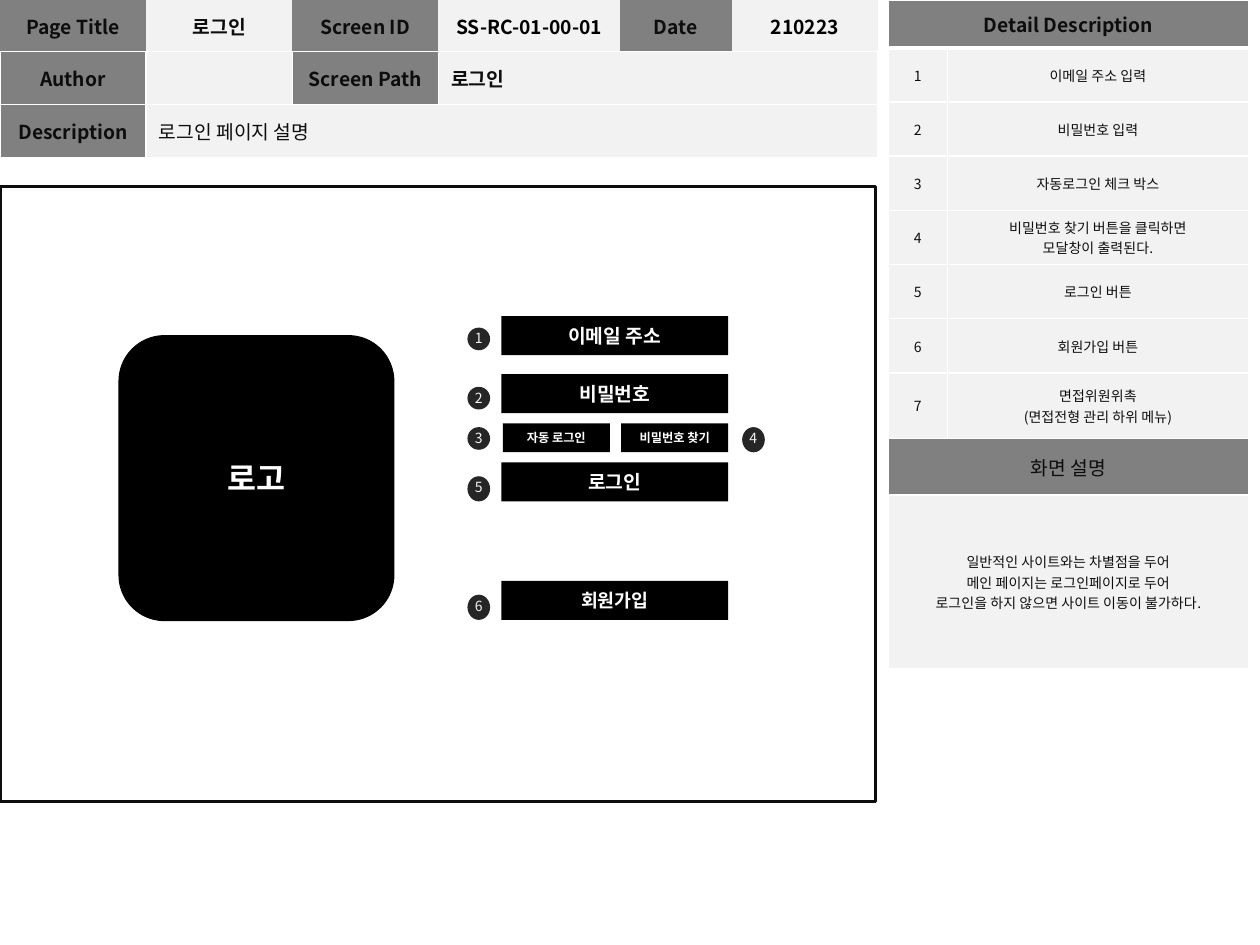
from dataclasses import dataclass

from lxml import etree
from pptx import Presentation
from pptx.dml.color import RGBColor
from pptx.enum.shapes import MSO_SHAPE
from pptx.enum.text import MSO_ANCHOR, MSO_AUTO_SIZE, PP_ALIGN
from pptx.oxml.ns import qn
from pptx.util import Inches, Pt

RECTANGLE = MSO_SHAPE.RECTANGLE
ROUNDED = MSO_SHAPE.ROUNDED_RECTANGLE
OVAL = MSO_SHAPE.OVAL
LEFT, CENTER = PP_ALIGN.LEFT, PP_ALIGN.CENTER
MIDDLE = MSO_ANCHOR.MIDDLE
FIT_SHAPE = MSO_AUTO_SIZE.SHAPE_TO_FIT_TEXT

FONT = "Noto Sans CJK KR"
BLACK = RGBColor(0x00, 0x00, 0x00)
INK = RGBColor(0x0D, 0x0D, 0x0D)
CHARCOAL = RGBColor(0x26, 0x26, 0x26)
GRAY = RGBColor(0x80, 0x80, 0x80)
PALE = RGBColor(0xF2, 0xF2, 0xF2)
WHITE = RGBColor(0xFF, 0xFF, 0xFF)


@dataclass
class Cell:
    text: str
    fill: RGBColor = PALE
    size: float = 11
    bold: bool = True
    color: RGBColor = INK
    align: PP_ALIGN = CENTER
    span: int = 1


@dataclass
class Row:
    height: float
    cells: list[Cell]
    side: float = 1
    top: float = 1
    bottom: float = 1


@dataclass
class Block:
    text: str
    left: float
    top: float
    width: float = 1.8
    height: float = 0.31
    size: float = 11
    shape: MSO_SHAPE = RECTANGLE


@dataclass
class Badge:
    text: str
    left: float
    top: float
    height: float


def label(text: str) -> Cell:
    return Cell(text, fill=GRAY)


def detail(text: str, span: int = 1) -> Cell:
    return Cell(text, size=8, bold=False, span=span)


def style_text(frame, size: float, color: RGBColor, bold: bool, align: PP_ALIGN) -> None:
    for para in frame.paragraphs:
        para.alignment = align
        for span in para.runs:
            span.font.name = FONT
            span.font.size = Pt(size)
            span.font.bold = bold
            span.font.color.rgb = color
            latin = span.font._element.find(qn("a:latin"))
            east_asian = etree.Element(qn("a:ea"), typeface=FONT)
            latin.addnext(east_asian)


def set_borders(cell, row: Row) -> None:
    properties = cell._tc.get_or_add_tcPr()
    widths = {"lnL": row.side, "lnR": row.side, "lnT": row.top, "lnB": row.bottom}
    for tag, width in widths.items():
        line = etree.SubElement(properties, qn(f"a:{tag}"), w=str(Pt(width)))
        if width:
            fill = etree.SubElement(line, qn("a:solidFill"))
            etree.SubElement(fill, qn("a:srgbClr"), val=str(WHITE))
        else:
            etree.SubElement(line, qn("a:noFill"))


def draw_table(page, left: float, widths: list[float], rows: list[Row]) -> None:
    height = sum(row.height for row in rows)
    table = page.shapes.add_table(
        len(rows), len(widths), Inches(left), 0, Inches(sum(widths)), Inches(height)
    ).table
    table.first_row = False
    table.horz_banding = False
    for column, width in zip(table.columns, widths):
        column.width = Inches(width)
    for row_index, row in enumerate(rows):
        table.rows[row_index].height = Inches(row.height)
        for column_index in range(len(widths)):
            set_borders(table.cell(row_index, column_index), row)
        column_index = 0
        for item in row.cells:
            cell = table.cell(row_index, column_index)
            if item.span > 1:
                cell.merge(table.cell(row_index, column_index + item.span - 1))
            cell.fill.solid()
            cell.fill.fore_color.rgb = item.fill
            cell.vertical_anchor = MIDDLE
            cell.text_frame.text = item.text
            style_text(cell.text_frame, item.size, item.color, item.bold, item.align)
            column_index += item.span


def draw_block(page, block: Block) -> None:
    shape = page.shapes.add_shape(
        block.shape, Inches(block.left), Inches(block.top),
        Inches(block.width), Inches(block.height),
    )
    shape.shadow.inherit = False
    shape.fill.solid()
    shape.fill.fore_color.rgb = BLACK
    shape.line.fill.background()
    shape.text_frame.text = block.text
    shape.text_frame.vertical_anchor = MIDDLE
    style_text(shape.text_frame, block.size, WHITE, True, CENTER)


def draw_badge(page, badge: Badge) -> None:
    group = page.shapes.add_group_shape()
    circle = group.shapes.add_shape(
        OVAL, Inches(badge.left), Inches(badge.top), Inches(0.18), Inches(badge.height)
    )
    circle.shadow.inherit = False
    circle.fill.solid()
    circle.fill.fore_color.rgb = CHARCOAL
    circle.line.fill.background()
    box = group.shapes.add_textbox(
        Inches(badge.left - 0.04), Inches(badge.top - 0.03), Inches(0.26), Inches(0.24)
    )
    box.text_frame.word_wrap = False
    box.text_frame.auto_size = FIT_SHAPE
    box.text_frame.text = badge.text
    style_text(box.text_frame, 8, PALE, False, LEFT)


def draw_frame(page) -> None:
    frame = page.shapes.add_shape(RECTANGLE, 0, Inches(1.48), Inches(6.95), Inches(4.88))
    frame.shadow.inherit = False
    frame.fill.background()
    frame.line.color.rgb = INK
    frame.line.width = Pt(2)


SCREEN_ROWS = [
    Row(0.41, [label("Page Title"), Cell("로그인"), label("Screen ID"),
               Cell("SS-RC-01-00-01", color=BLACK), label("Date"),
               Cell("210223", color=BLACK)], side=0, top=0),
    Row(0.42, [label("Author"), Cell(""), label("Screen Path"),
               Cell("로그인", align=LEFT, span=3)]),
    Row(0.42, [label("Description"),
               Cell("로그인 페이지 설명", bold=False, align=LEFT, span=5)]),
]
DETAILS = [
    "이메일 주소 입력", "비밀번호 입력", "자동로그인 체크 박스",
    "비밀번호 찾기 버튼을 클릭하면\n모달창이 출력된다.", "로그인 버튼", "회원가입 버튼",
    "면접위원위촉\n(면접전형 관리 하위 메뉴)",
]
SUMMARY = (
    "일반적인 사이트와는 차별점을 두어\n메인 페이지는 로그인페이지로 두어\n"
    "로그인을 하지 않으면 사이트 이동이 불가하다."
)
DETAIL_ROWS = [
    Row(0.38, [Cell("Detail Description", fill=GRAY, span=2)], bottom=3),
    *(Row(0.52 if number == len(DETAILS) else 0.43, [detail(str(number)), detail(text)],
          top=3 if number == 1 else 1)
      for number, text in enumerate(DETAILS, 1)),
    Row(0.45, [Cell("화면 설명", fill=GRAY, bold=False, span=2)]),
    Row(1.38, [detail(SUMMARY, span=2)]),
]
BADGES = [
    Badge("1", 3.71, 2.6, 0.18), Badge("2", 3.71, 3.07, 0.18),
    Badge("3", 3.71, 3.39, 0.18), Badge("4", 5.89, 3.39, 0.2),
    Badge("5", 3.71, 3.78, 0.2), Badge("6", 3.71, 4.72, 0.2),
]
BLOCKS = [
    Block("이메일 주소", 3.98, 2.51),
    Block("비밀번호", 3.98, 2.97),
    Block("자동 로그인", 3.99, 3.36, 0.85, 0.23, 7),
    Block("비밀번호 찾기", 4.93, 3.36, 0.85, 0.23, 7),
    Block("로그인", 3.98, 3.67),
    Block("회원가입", 3.98, 4.61, size=10.5),
    Block("로고", 0.94, 2.66, 2.19, 2.27, 18, ROUNDED),
]


def main() -> None:
    deck = Presentation()
    deck.slide_width, deck.slide_height = Inches(10), Inches(7.5)
    page = deck.slides.add_slide(deck.slide_layouts[6])
    draw_table(page, 0, [1.16, 1.16, 1.16, 1.44, 0.89, 1.16], SCREEN_ROWS)
    draw_frame(page)
    draw_table(page, 7.05, [0.47, 2.39], DETAIL_ROWS)
    for badge in BADGES:
        draw_badge(page, badge)
    for block in BLOCKS:
        draw_block(page, block)
    deck.save("out.pptx")


if __name__ == "__main__":
    main()
